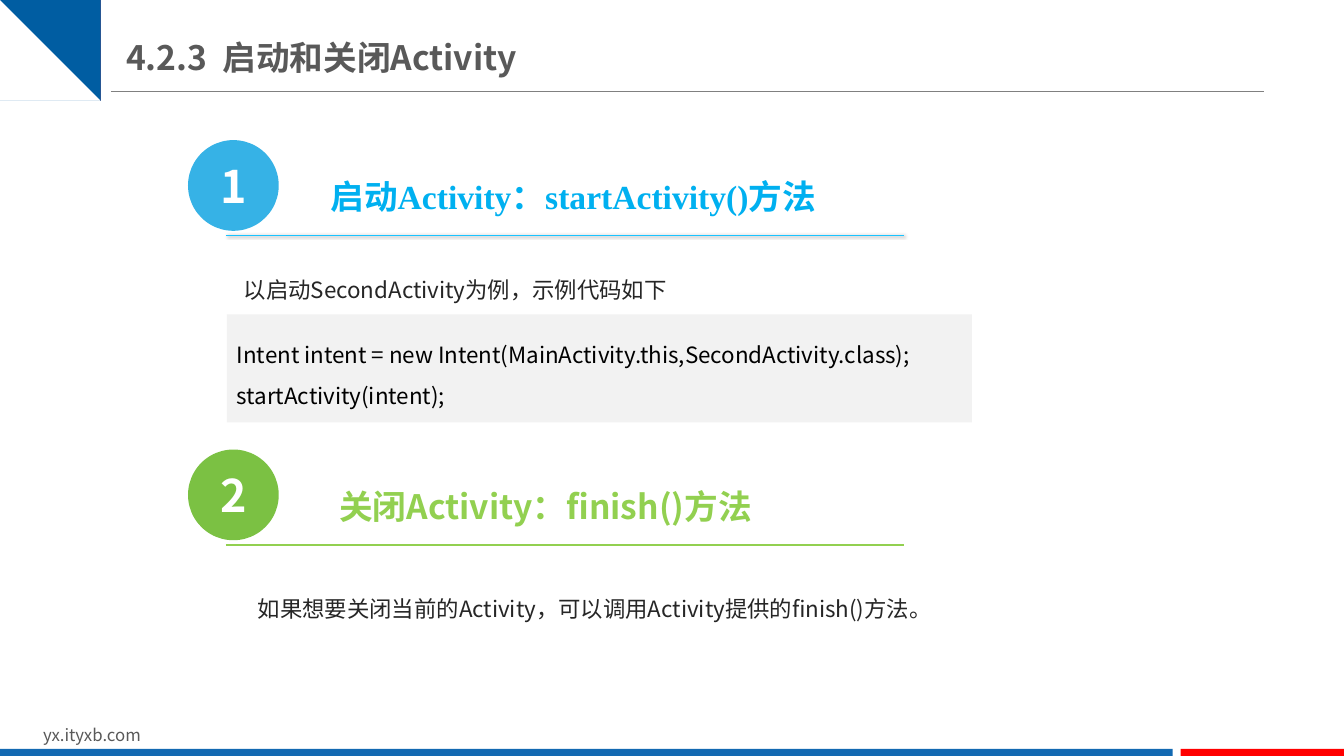
from lxml import etree
from pptx import Presentation
from pptx import util as u
from pptx.dml.color import RGBColor
from pptx.enum import shapes, text
from pptx.oxml import ns

# Content
TITLE = "4.2.3  启动和关闭Activity"
SITE = "yx.ityxb.com"
START_NOTE = "以启动SecondActivity为例，示例代码如下"
CODE = [
    "Intent intent = new Intent(MainActivity.this,SecondActivity.class);",
    "startActivity(intent);",
]
CLOSE_NOTE = "如果想要关闭当前的Activity，可以调用Activity提供的finish()方法。"

# Colours and fonts
WHITE, BLACK = RGBColor(255, 255, 255), RGBColor(0, 0, 0)
GREY, DARK = RGBColor(0x59, 0x59, 0x59), RGBColor(0x26, 0x26, 0x26)
RULE_GREY, CODE_GREY = RGBColor(0x80, 0x80, 0x80), RGBColor(0xF2, 0xF2, 0xF2)
RED, BAR_BLUE = RGBColor(255, 0, 0), RGBColor(0x13, 0x69, 0xB2)
CHEVRONS = [RGBColor(0x00, 0x5D, 0xA2), RGBColor(0x39, 0x92, 0xDB), RED]
SANS, SERIF = "Noto Sans CJK SC", "Times New Roman"

SECTIONS = [
    dict(heading="启动Activity：startActivity()方法", font=SERIF, width=5.43,
         disc=RGBColor(0x36, 0xB2, 0xE6), color=RGBColor(0x00, 0xB0, 0xF0),
         rule=RGBColor(0x19, 0xC3, 0xFF), weight=1, shadow=True),
    dict(heading="关闭Activity：finish()方法", font=SANS, width=4.88,
         disc=RGBColor(0x7B, 0xC1, 0x43), color=RGBColor(0x92, 0xD0, 0x50),
         rule=RGBColor(0x92, 0xD0, 0x50), weight=1.5, shadow=False),
]

# Layout in inches
WIDTH, HEIGHT = 13.33, 7.5
SECTION_TOP, SECTION_PITCH = 1.39, 3.07
CHEVRON_LEFT, CHEVRON_PITCH = 0.47, 0.185
CHEVRON = [(0, 0.04), (0.05, 0), (0.2, 0.15), (0.05, 0.3), (0, 0.25), (0.11, 0.15)]

presentation = Presentation()
presentation.slide_width = u.Inches(WIDTH)
presentation.slide_height = u.Inches(HEIGHT)
slide = presentation.slides.add_slide(presentation.slide_layouts[5])


def write(shape, lines, size=16, color=DARK, font=SANS, bold=False, align=text.PP_ALIGN.LEFT,
          anchor=text.MSO_ANCHOR.TOP, spacing=1.0, margins=(0.1, 0.05)):
    frame = shape.text_frame
    frame.word_wrap = True
    frame.auto_size = text.MSO_AUTO_SIZE.NONE
    frame.vertical_anchor = anchor
    frame.margin_left = frame.margin_right = u.Inches(margins[0])
    frame.margin_top = frame.margin_bottom = u.Inches(margins[1])
    for index, line in enumerate(lines):
        paragraph = frame.add_paragraph() if index else frame.paragraphs[0]
        paragraph.alignment = align
        paragraph.line_spacing = spacing
        run = paragraph.add_run()
        run.text = line
        run.font.size, run.font.bold, run.font.name = u.Pt(size), bold, font
        run.font.color.rgb = color
        east_asian = etree.SubElement(run.font._element, ns.qn("a:ea"))
        east_asian.set("typeface", SANS)


def add_text(left, top, width, height, lines, **style):
    box = slide.shapes.add_textbox(*map(u.Inches, (left, top, width, height)))
    write(box, lines, **style)


def paint(shape, color):
    shape.shadow.inherit = False
    shape.fill.solid()
    shape.fill.fore_color.rgb = color
    shape.line.fill.background()


def add_block(kind, left, top, width, height, color):
    shape = slide.shapes.add_shape(kind, *map(u.Inches, (left, top, width, height)))
    paint(shape, color)
    return shape


def add_rule(left, right, y, color, weight, shadow=False):
    line = slide.shapes.add_connector(
        shapes.MSO_CONNECTOR.STRAIGHT, *map(u.Inches, (left, y, right, y)))
    line.line.color.rgb = color
    line.line.width = u.Pt(weight)
    effects = etree.SubElement(line._element.spPr, ns.qn("a:effectLst"))
    if shadow:
        outer = etree.SubElement(effects, ns.qn("a:outerShdw"), blurRad=str(u.Pt(2)),
                                 dist=str(u.Pt(1)), dir=str(45 * 60000))
        tint = etree.SubElement(outer, ns.qn("a:srgbClr"), val=str(BLACK))
        etree.SubElement(tint, ns.qn("a:alpha"), val="40000")


# Header: rule, chevrons and title
add_rule(1.1, 12.54, 0.91, RULE_GREY, 0.75)
for index, color in enumerate(CHEVRONS):
    left = CHEVRON_LEFT + index * CHEVRON_PITCH
    points = [(left + x, 0.43 + y) for x, y in CHEVRON]
    builder = slide.shapes.build_freeform(*points[0], scale=u.Inches(1))
    builder.add_line_segments(points[1:], close=True)
    paint(builder.convert_to_shape(), color)

title = slide.shapes.title
title.left, title.top, title.width, title.height = map(u.Inches, (1.25, 0.29, 6.44, 0.55))
write(title, [TITLE], size=24, color=GREY, bold=True,
      anchor=text.MSO_ANCHOR.MIDDLE, margins=(0, 0.07))

# Footer: site address and two bars
add_text(0.33, 7.14, 3.18, 0.3, [SITE], size=12, color=GREY)
for left, width, color in [(0, 11.63, BAR_BLUE), (11.71, WIDTH - 11.71, RED)]:
    add_block(shapes.MSO_SHAPE.RECTANGLE, left, 7.43, width, HEIGHT - 7.43, color)

# Numbered section headings
for index, section in enumerate(SECTIONS):
    top = SECTION_TOP + index * SECTION_PITCH
    disc = add_block(shapes.MSO_SHAPE.FLOWCHART_CONNECTOR, 1.865, top, 0.9, 0.9, section["disc"])
    write(disc, [str(index + 1)], size=32, color=WHITE, bold=True,
          align=text.PP_ALIGN.CENTER, anchor=text.MSO_ANCHOR.MIDDLE)
    add_rule(2.24, 8.97, top + 0.945, section["rule"], section["weight"], section["shadow"])
    add_text(2.97, top + 0.31, section["width"], 0.5, [section["heading"]], size=24, bold=True,
             color=section["color"], font=section["font"], align=text.PP_ALIGN.CENTER)

# Explanations and code
add_text(2.32, 2.56, 4.82, 0.46, [START_NOTE], spacing=1.5)
code_box = add_block(shapes.MSO_SHAPE.RECTANGLE, 2.25, 3.12, 7.39, 1.07, CODE_GREY)
write(code_box, CODE, color=BLACK, anchor=text.MSO_ANCHOR.MIDDLE, spacing=1.5)
add_text(2.46, 5.72, 6.78, 0.9, [CLOSE_NOTE], spacing=1.5)

presentation.save("out.pptx")
